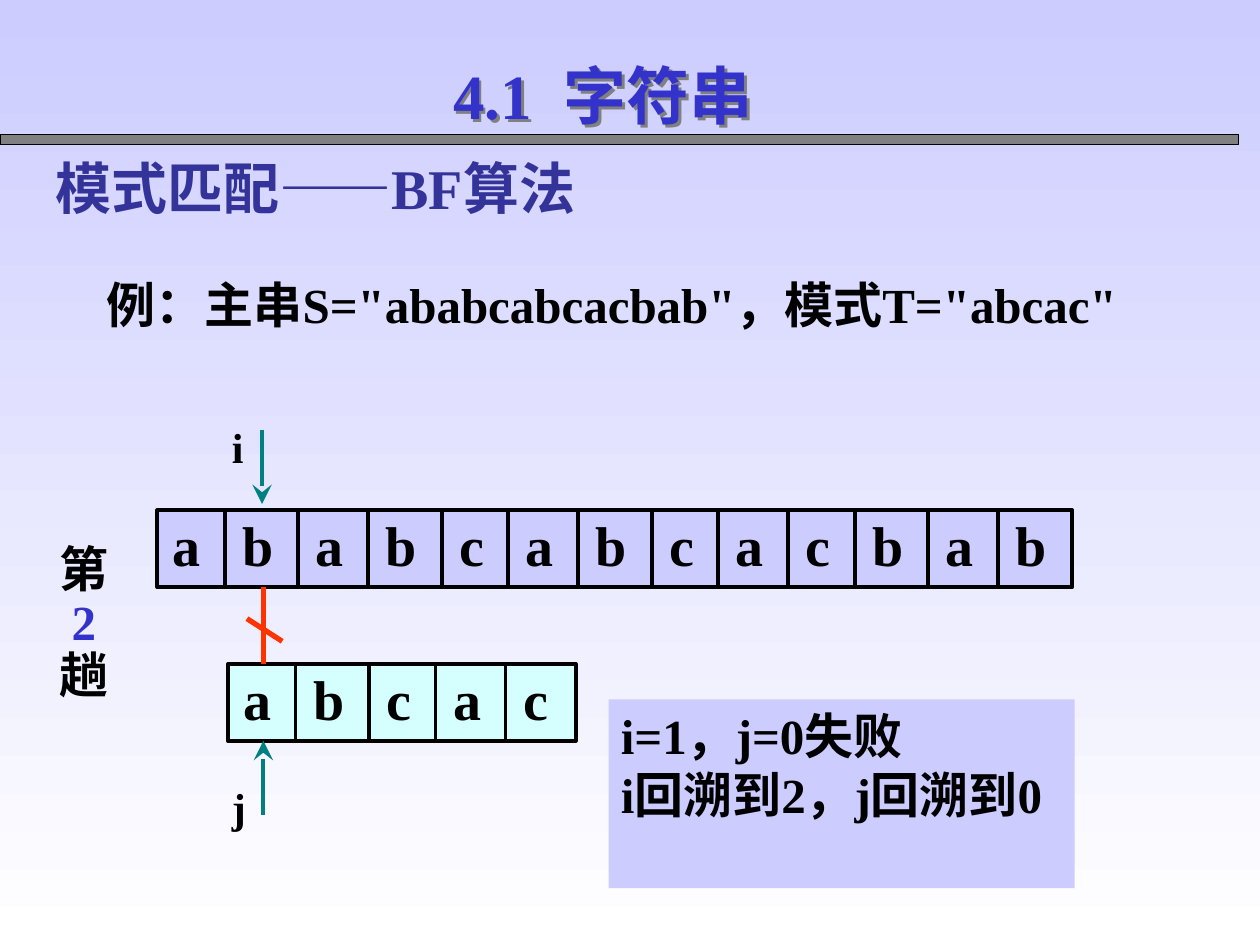
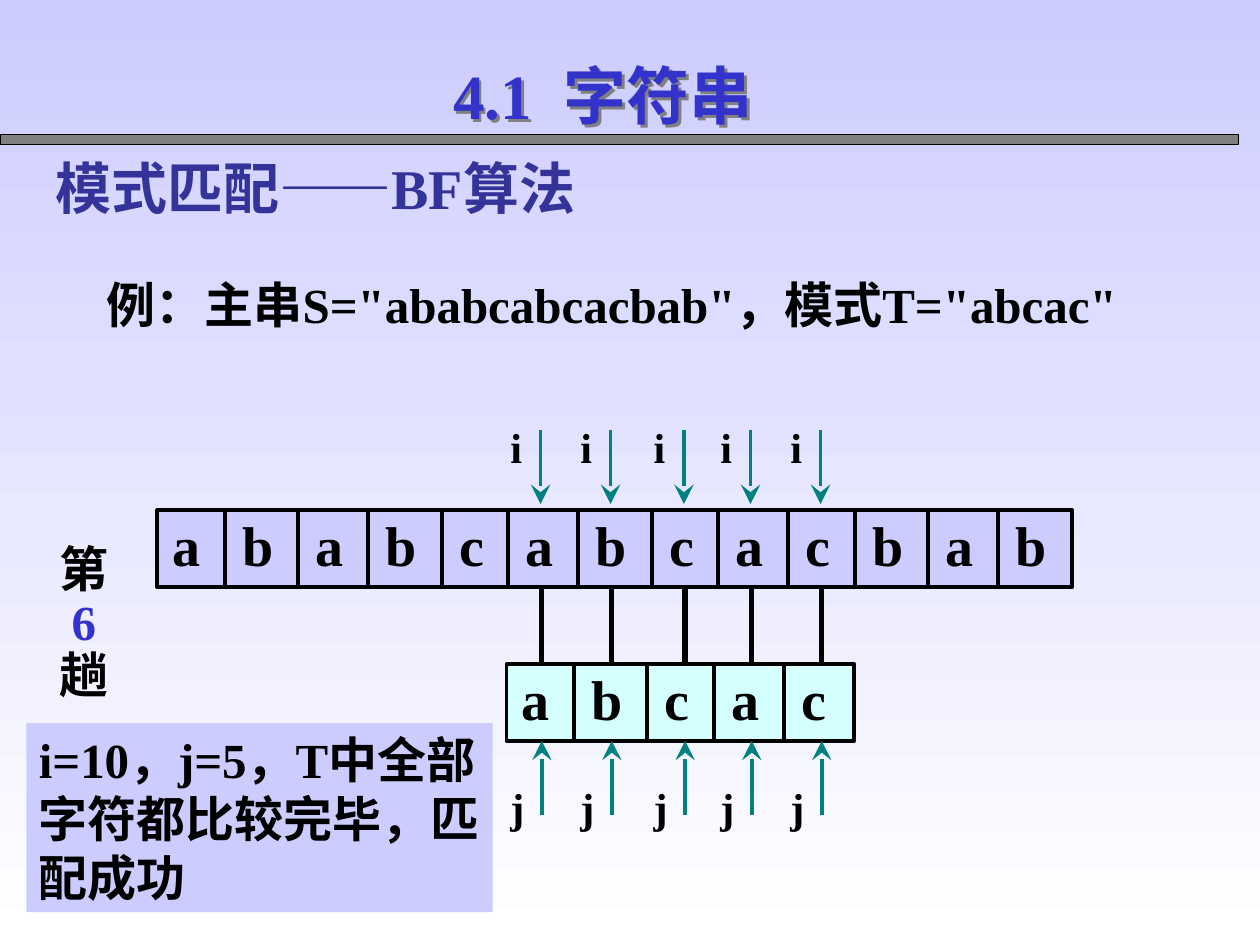
"""Build two slides that trace brute-force string matching."""
from itertools import accumulate

from lxml import etree
from pptx import Presentation
from pptx.dml.color import RGBColor
from pptx.enum.shapes import MSO_CONNECTOR, MSO_SHAPE
from pptx.enum.text import MSO_ANCHOR, PP_ALIGN
from pptx.oxml.ns import qn
from pptx.util import Inches, Pt

RECT, STRAIGHT = MSO_SHAPE.RECTANGLE, MSO_CONNECTOR.STRAIGHT
TOP = MSO_ANCHOR.TOP
LEFT, CENTER = PP_ALIGN.LEFT, PP_ALIGN.CENTER

BLACK = RGBColor(0x00, 0x00, 0x00)
WHITE = RGBColor(0xFF, 0xFF, 0xFF)
GRAY = RGBColor(0x80, 0x80, 0x80)
LAVENDER = RGBColor(0xCC, 0xCC, 0xFF)
CYAN = RGBColor(0xD5, 0xFF, 0xFF)
BLUE = RGBColor(0x33, 0x33, 0xCC)
NAVY = RGBColor(0x33, 0x33, 0x99)
TEAL = RGBColor(0x00, 0x80, 0x80)
RED = RGBColor(0xFF, 0x33, 0x00)

FONT = "Times New Roman"
CHAPTER = ("4.1", "字符串")
HEADING = "模式匹配——BF算法"
EXAMPLE = '例：主串S="ababcabcacbab"，模式T="abcac"'
MAIN, PATTERN = "ababcabcacbab", "abcac"

PASSES = [
    {"number": "2", "pattern_left": 1.81, "compared": 1, "matched": False,
     "note": ["i=1，j=0失败", "i回溯到2，j回溯到0"], "note_at": (4.83, 5.55)},
    {"number": "6", "pattern_left": 4.02, "compared": 5, "matched": True,
     "note": ["i=10，j=5，T中全部字符都比较完毕，匹配成功"], "note_at": (0.21, 5.74)},
]

MAIN_LEFT, MAIN_TOP, PATTERN_TOP, ROW_H = 1.25, 4.05, 5.27, 0.61
MAIN_W, PATTERN_W = 7.26, 2.76
LETTER_SIZE = 32
LETTER_EM = {"a": 0.5, "b": 0.56, "c": 0.44}
GAP_EM = 0.75
CELL_INSET = 0.12
DIVIDER_SHIFT = 0.02
POINTER_DX = 0.28


def offsets(letters):
    em = LETTER_SIZE / 72
    return list(accumulate(((LETTER_EM[c] + GAP_EM) * em for c in letters[:-1]), initial=0))


def add_run(p, text, size, color=BLACK):
    r = p.add_run()
    r.text = text
    for name, value in {"name": FONT, "size": Pt(size), "bold": True}.items():
        setattr(r.font, name, value)
    r.font.color.rgb = color
    return r


def set_frame(sp, insets=(0.1, 0.05, 0.1, 0.05)):
    tf = sp.text_frame
    sides = ("margin_left", "margin_top", "margin_right", "margin_bottom")
    for side, inset in zip(sides, insets):
        setattr(tf, side, Inches(inset))
    tf.word_wrap = True
    tf.vertical_anchor = TOP
    return tf


def write(tf, lines, size, color=BLACK):
    for n, line in enumerate(lines):
        p = tf.add_paragraph() if n else tf.paragraphs[0]
        p.alignment = LEFT
        p._p.get_or_add_pPr().set("hangingPunct", "0")
        add_run(p, line, size, color)


def add_text(s, at, lines, size, color=BLACK, **frame):
    tf = set_frame(s.shapes.add_textbox(*map(Inches, at)), **frame)
    write(tf, lines, size, color)
    return tf


def add_rect(s, at, fill, line_width=0):
    sp = s.shapes.add_shape(RECT, *map(Inches, at))
    sp.shadow.inherit = False
    sp.fill.solid()
    sp.fill.fore_color.rgb = fill
    if line_width:
        sp.line.color.rgb = BLACK
        sp.line.width = Pt(line_width)
    else:
        sp.line.fill.background()
    return sp


def add_line(s, start, end, color=BLACK, width=2.25, arrow=False):
    line = s.shapes.add_connector(STRAIGHT, *map(Inches, (*start, *end)))
    line.line.color.rgb = color
    line.line.width = Pt(width)
    if arrow:
        etree.SubElement(line.line._get_or_add_ln(), qn("a:tailEnd"),
                         type="stealth", w="lg", len="lg")
    etree.SubElement(line._element.spPr, qn("a:effectLst"))


def add_row(s, letters, left, top, width, fill):
    sp = add_rect(s, (left, top, width, ROW_H), fill, 2.25)
    tf = set_frame(sp, (CELL_INSET, 0, 0.02, 0))
    p = tf.paragraphs[0]
    p.alignment = LEFT
    tabs = etree.SubElement(p._p.get_or_add_pPr(), qn("a:tabLst"))
    for tab in offsets(letters)[1:]:
        etree.SubElement(tabs, qn("a:tab"), pos=str(Inches(tab)), algn="l")
        x = left + tab - DIVIDER_SHIFT
        add_line(s, (x, top), (x, top + ROW_H))
    add_run(p, "\t".join(letters), LETTER_SIZE)


def add_title(s):
    sp = s.shapes.add_textbox(*map(Inches, (2.93, 0.4, 3.71, 0.7)))
    effects = etree.SubElement(sp._element.spPr, qn("a:effectLst"))
    shadow = etree.SubElement(effects, qn("a:outerShdw"), dist="28400", dir="2700000")
    etree.SubElement(shadow, qn("a:srgbClr"), val=str(GRAY))
    p = set_frame(sp).paragraphs[0]
    p.alignment = CENTER
    number, name = CHAPTER
    add_run(p, number, 36, BLUE)
    gap = add_run(p, " ", 36, BLUE)
    gap.font._element.set("spc", "900")
    add_run(p, name, 36, BLUE)


def add_frame(s):
    fill = s.background.fill
    fill.gradient()
    fill.gradient_angle = 270
    for stop, color in zip(fill.gradient_stops, (LAVENDER, WHITE)):
        stop.color.rgb = color
    add_rect(s, (0, 1.07, 9.83, 0.08), GRAY, 0.75)
    add_title(s)
    add_text(s, (0.34, 1.17, 8.17, 0.64), [HEADING], 32, NAVY)
    add_text(s, (0.75, 2.13, 8.92, 0.57), [EXAMPLE], 28)


def add_pass_label(s, number):
    tf = add_text(s, (0.37, 4.28, 0.71, 1.36), ["第", number, "趟"], 28)
    for p in tf.paragraphs:
        p.line_spacing = 0.9
    middle = tf.paragraphs[1]
    middle._p.get_or_add_pPr().set("marL", str(Inches(0.1)))
    middle.runs[0].font.color.rgb = BLUE


def add_comparison(s, x, matched):
    add_line(s, (x, MAIN_TOP + ROW_H), (x, PATTERN_TOP), BLACK if matched else RED, 3)
    if not matched:
        add_line(s, (x - 0.13, 4.91), (x + 0.15, 5.09), RED, 3)
    for name, tip_x, tail_y, tip_y, label_y in (
            ("i", x - 0.01, 3.41, 4, 3.3),
            ("j", x, 6.47, PATTERN_TOP + ROW_H, 6.15)):
        add_line(s, (tip_x, tail_y), (tip_x, tip_y), TEAL, arrow=True)
        add_text(s, (x - 0.25, label_y, 0.25, 0.5), [name], 24,
                 insets=(0, 0.05, 0, 0.05))


def add_pass(prs, step):
    s = prs.slides.add_slide(prs.slide_layouts[6])
    add_frame(s)
    add_row(s, MAIN, MAIN_LEFT, MAIN_TOP, MAIN_W, LAVENDER)
    left = step["pattern_left"]
    add_row(s, PATTERN, left, PATTERN_TOP, PATTERN_W, CYAN)
    note = add_rect(s, (*step["note_at"], 3.7, 1.5), LAVENDER)
    write(set_frame(note), step["note"], 28)
    add_pass_label(s, step["number"])
    for x in offsets(PATTERN)[:step["compared"]]:
        add_comparison(s, left + x + POINTER_DX, step["matched"])


def main():
    prs = Presentation()
    prs.slide_width, prs.slide_height = Inches(10), Inches(7.5)
    for step in PASSES:
        add_pass(prs, step)
    prs.save("out.pptx")


if __name__ == "__main__":
    main()
